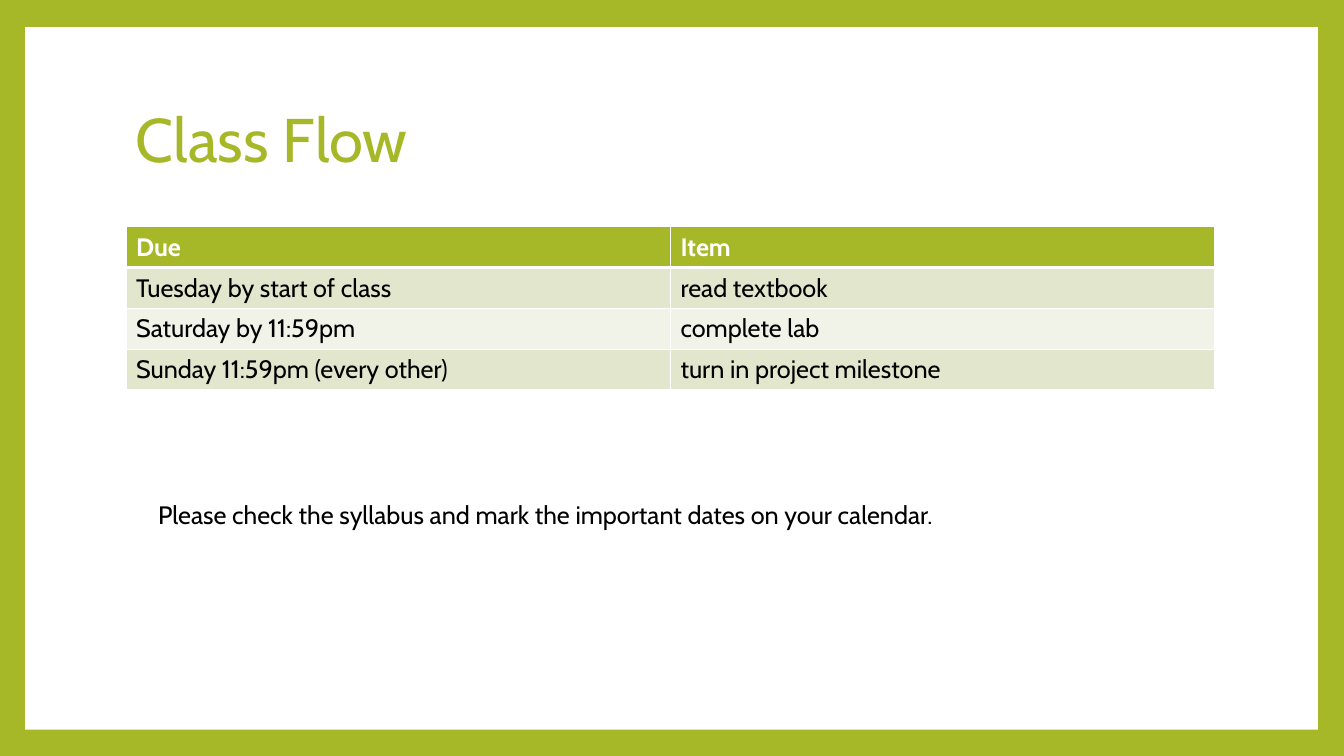
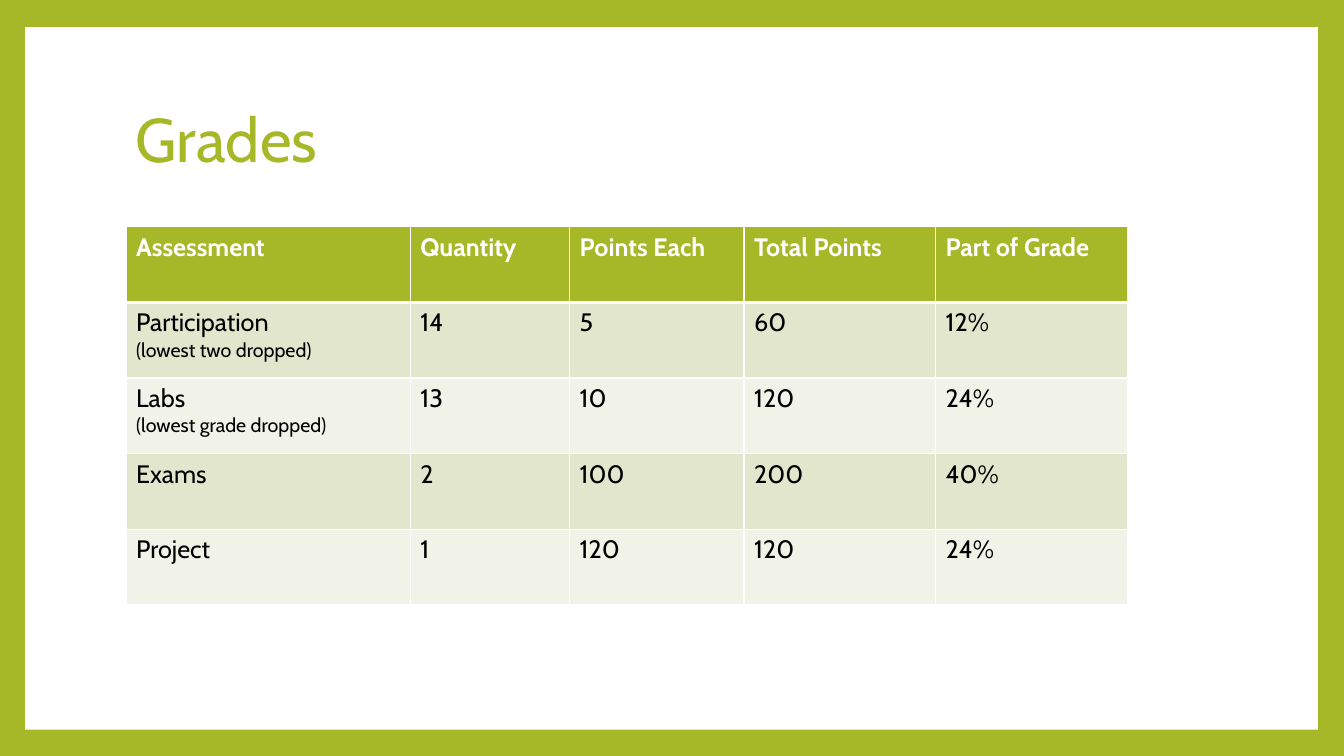
from dataclasses import dataclass

from lxml import etree
from pptx import Presentation
from pptx import util as u
from pptx.dml import color
from pptx.enum import shapes, text
from pptx.oxml import ns


@dataclass(frozen=True)
class Theme:
    font: str = "Cabin"
    accent: str = "A6B727"
    paper: str = "FFFFFF"
    ink: str = "000000"
    bands: tuple = ("E1E6CD", "F1F3E8")
    title_size: int = 44
    body_size: int = 18
    note_size: int = 14
    rule: int = 1
    header_rule: int = 3


THEME = Theme()
PANEL_BOX = (0.25, 0.27, 12.82, 6.97)
TITLE_BOX = (1.25, 0.67, 10.8, 1.48)
TABLE_ORIGIN = (1.25, 2.25)
REMINDER_BOX = (1.47, 4.9, 10.4, 0.71)


def rgb(value):
    return color.RGBColor.from_string(value)


def inches(box):
    return [u.Inches(length) for length in box]


def style_paragraph(paragraph, size, ink, bold=False):
    for run in paragraph.runs:
        run.font.name = THEME.font
        run.font.size = u.Pt(size)
        run.font.bold = bold
        run.font.color.rgb = rgb(ink)


def add_text(slide, box, content, size, ink):
    shape = slide.shapes.add_textbox(*inches(box))
    frame = shape.text_frame
    frame.word_wrap = True
    frame.text = content
    style_paragraph(frame.paragraphs[0], size, ink)
    return frame


def add_titled_slide(presentation, title):
    slide = presentation.slides.add_slide(presentation.slide_layouts[6])
    background = slide.background.fill
    background.solid()
    background.fore_color.rgb = rgb(THEME.accent)
    panel = slide.shapes.add_shape(shapes.MSO_SHAPE.RECTANGLE, *inches(PANEL_BOX))
    panel.shadow.inherit = False
    panel.fill.solid()
    panel.fill.fore_color.rgb = rgb(THEME.paper)
    panel.line.fill.background()
    frame = add_text(slide, TITLE_BOX, title, THEME.title_size, THEME.accent)
    frame.vertical_anchor = text.MSO_ANCHOR.MIDDLE
    frame.paragraphs[0].line_spacing = 0.9
    return slide


def set_borders(cell, top, bottom):
    properties = cell._tc.get_or_add_tcPr()
    widths = {"lnL": THEME.rule, "lnR": THEME.rule, "lnT": top, "lnB": bottom}
    for side, width in widths.items():
        line = etree.SubElement(properties, ns.qn(f"a:{side}"), w=str(u.Pt(width)))
        fill = etree.SubElement(line, ns.qn("a:solidFill"))
        etree.SubElement(fill, ns.qn("a:srgbClr"), val=THEME.paper)


def style_cell(cell, row_index):
    header = row_index == 0
    top = THEME.header_rule if row_index == 1 else THEME.rule
    bottom = THEME.header_rule if header else THEME.rule
    set_borders(cell, top, bottom)
    cell.fill.solid()
    band = THEME.accent if header else THEME.bands[(row_index - 1) % 2]
    cell.fill.fore_color.rgb = rgb(band)
    ink = THEME.paper if header else THEME.ink
    for index, paragraph in enumerate(cell.text_frame.paragraphs):
        size = THEME.note_size if index else THEME.body_size
        style_paragraph(paragraph, size, ink, header)


def add_banded_table(slide, origin, widths, row_height, rows):
    box = (*origin, sum(widths), row_height * len(rows))
    table = slide.shapes.add_table(len(rows), len(widths), *inches(box)).table
    for column, width in zip(table.columns, widths):
        column.width = u.Inches(width)
    for row_index, values in enumerate(rows):
        table.rows[row_index].height = u.Inches(row_height)
        for column_index, value in enumerate(values):
            cell = table.cell(row_index, column_index)
            cell.text_frame.text = value
            style_cell(cell, row_index)


def add_class_flow(presentation):
    slide = add_titled_slide(presentation, "Class Flow")
    rows = [
        ("Due", "Item"),
        ("Tuesday by start of class", "read textbook"),
        ("Saturday by 11:59pm", "complete lab"),
        ("Sunday 11:59pm (every other)", "turn in project milestone"),
    ]
    add_banded_table(slide, TABLE_ORIGIN, (5.4, 5.4), 0.405, rows)
    reminder = "Please check the syllabus and mark the important dates on your calendar."
    add_text(slide, REMINDER_BOX, reminder, THEME.body_size, THEME.ink)


def add_grades(presentation):
    slide = add_titled_slide(presentation, "Grades")
    rows = [
        ("Assessment", "Quantity", "Points Each", "Total Points", "Part of Grade"),
        ("Participation\n(lowest two dropped)", "14", "5", "60", "12%"),
        ("Labs\n(lowest grade dropped)", "13", "10", "120", "24%"),
        ("Exams", "2", "100", "200", "40%"),
        ("Project", "1", "120", "120", "24%"),
    ]
    add_banded_table(slide, TABLE_ORIGIN, (2.82, 1.58, 1.73, 1.9, 1.9), 0.75, rows)


def main():
    presentation = Presentation()
    presentation.slide_width = u.Inches(13.33)
    presentation.slide_height = u.Inches(7.5)
    add_class_flow(presentation)
    add_grades(presentation)
    presentation.save("out.pptx")


if __name__ == "__main__":
    main()
